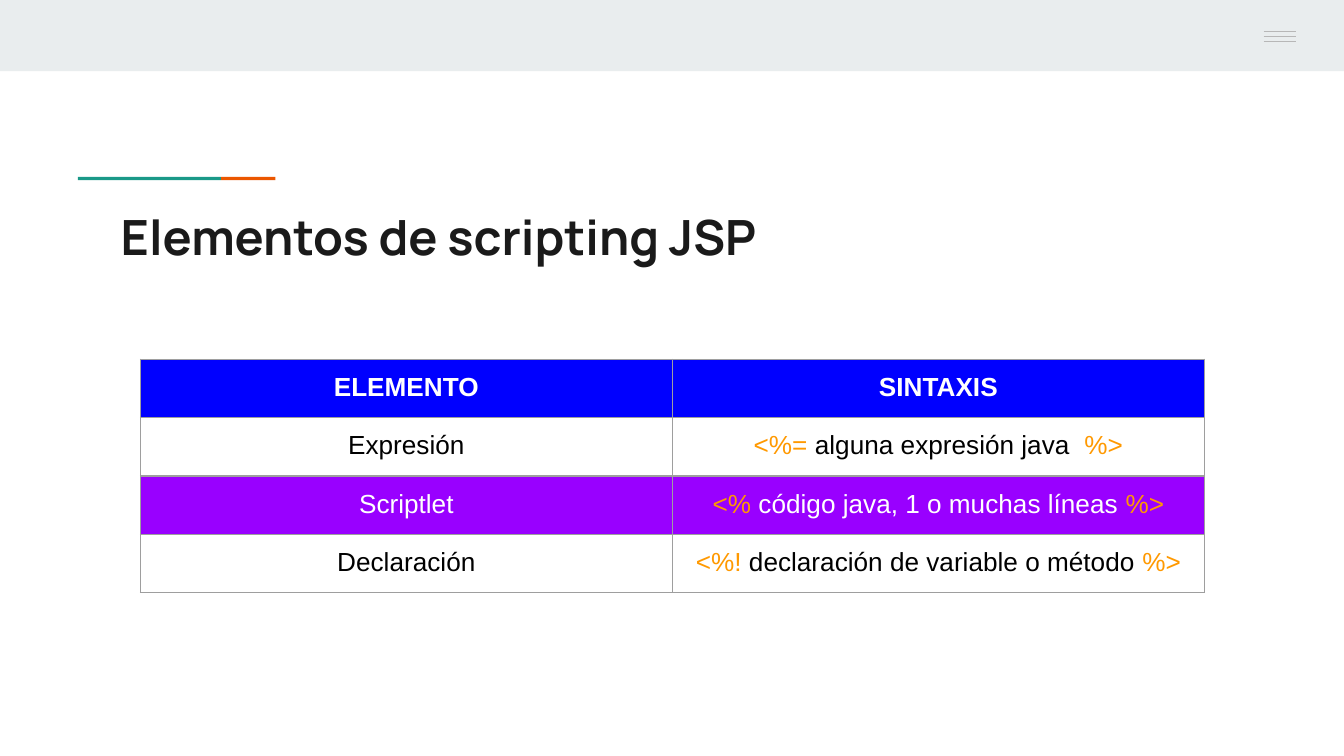
from lxml.etree import SubElement
from pptx import Presentation
from pptx.dml.color import RGBColor
from pptx.enum.shapes import MSO_CONNECTOR, MSO_SHAPE
from pptx.enum.text import MSO_ANCHOR, PP_ALIGN
from pptx.oxml import parse_xml
from pptx.oxml.ns import nsdecls, qn
from pptx.util import Pt

WHITE = RGBColor(0xFF, 0xFF, 0xFF)
BLACK = RGBColor(0, 0, 0)
INK = RGBColor(0x1A, 0x1A, 0x1A)
PALE = RGBColor(0xE9, 0xED, 0xEE)
GRAY = RGBColor(0xB7, 0xB7, 0xB7)
BORDER = RGBColor(0x9E, 0x9E, 0x9E)
TEAL = RGBColor(0x1A, 0x99, 0x88)
RUST = RGBColor(0xEB, 0x56, 0x00)
BLUE = RGBColor(0, 0, 0xFF)
PURPLE = RGBColor(0x99, 0, 0xFF)
ORANGE = RGBColor(0xFF, 0x99, 0)

# Content
TITLE = "Elementos de scripting JSP"
# Each row: fill, text colour, bold, cells; each cell is a list of runs
ROWS = [
    (BLUE, WHITE, True, [["ELEMENTO"], ["SINTAXIS"]]),
    (None, BLACK, False, [["Expresión"], ["<%=", " alguna expresión java  ", "%>"]]),
    (PURPLE, WHITE, False, [["Scriptlet"], ["<% ", "código java, 1 o muchas líneas ", "%>"]]),
    (None, BLACK, False, [["Declaración"], ["<%!", " declaración de variable o método ", "%>"]]),
]
DELIMITERS = ("<%", "%>")

# Plain rectangles: left, top, width, height, colour
BARS = [
    (0, 0, 720, 38.2, PALE),
    (41.8, 94.8, 76.6, 1.7, TEAL),
    (118.4, 94.8, 29.1, 1.7, RUST),
]
MENU_LEFT, MENU_RIGHT, MENU_TOP, MENU_STEP = 677, 694.2, 17, 2.65
TABLE_LEFT, TABLE_TOP, COLUMN_WIDTH, ROW_HEIGHT = 75.2, 192.5, 285, 30.2
INSET = 7.2


def add_run(paragraph, text, **font_format):
    run = paragraph.add_run()
    run.text = text
    color = font_format.pop("color")
    for name, value in font_format.items():
        setattr(run.font, name, value)
    run.font.color.rgb = color


def set_borders(cell):
    properties = cell._tc.get_or_add_tcPr()
    for index, side in enumerate(("lnL", "lnR", "lnT", "lnB")):
        properties.insert(index, parse_xml(
            f'<a:{side} {nsdecls("a")} w="{Pt(0.75)}"><a:solidFill>'
            f'<a:srgbClr val="{BORDER}"/></a:solidFill></a:{side}>'))


presentation = Presentation()
presentation.slide_width, presentation.slide_height = Pt(720), Pt(405)
slide = presentation.slides.add_slide(presentation.slide_layouts[6])

# Top band and two-colour accent
for left, top, width, height, color in BARS:
    shape = slide.shapes.add_shape(
        MSO_SHAPE.RECTANGLE, Pt(left), Pt(top), Pt(width), Pt(height))
    shape.shadow.inherit = False
    shape.fill.solid()
    shape.fill.fore_color.rgb = color
    shape.line.fill.background()

# Menu icon
for index in range(3):
    y = Pt(MENU_TOP + index * MENU_STEP)
    line = slide.shapes.add_connector(
        MSO_CONNECTOR.STRAIGHT, Pt(MENU_LEFT), y, Pt(MENU_RIGHT), y)
    line.line.color.rgb = GRAY
    line.line.width = Pt(0.75)
    SubElement(line._element.spPr, qn("a:effectLst"))

# Title
title = slide.shapes.add_textbox(Pt(57.6), Pt(103.7), Pt(605.5), Pt(42.5))
frame = title.text_frame
frame_format = {"word_wrap": True, "vertical_anchor": MSO_ANCHOR.TOP,
                "margin_left": Pt(INSET), "margin_right": Pt(INSET),
                "margin_top": Pt(INSET), "margin_bottom": Pt(INSET)}
for name, value in frame_format.items():
    setattr(frame, name, value)
add_run(frame.paragraphs[0], TITLE, name="Manrope", size=Pt(26), bold=True, color=INK)

# Table
table = slide.shapes.add_table(
    len(ROWS), 2, Pt(TABLE_LEFT), Pt(TABLE_TOP),
    Pt(2 * COLUMN_WIDTH), Pt(len(ROWS) * ROW_HEIGHT)).table
for column in table.columns:
    column.width = Pt(COLUMN_WIDTH)
for row_index, (fill, text_color, bold, cells) in enumerate(ROWS):
    table.rows[row_index].height = Pt(ROW_HEIGHT)
    for column_index, runs in enumerate(cells):
        cell = table.cell(row_index, column_index)
        for side in ("left", "right", "top", "bottom"):
            setattr(cell, f"margin_{side}", Pt(INSET))
        if fill is None:
            cell.fill.background()
        else:
            cell.fill.solid()
            cell.fill.fore_color.rgb = fill
        set_borders(cell)
        paragraph = cell.text_frame.paragraphs[0]
        paragraph.alignment = PP_ALIGN.CENTER
        for text in runs:
            color = ORANGE if text.startswith(DELIMITERS) else text_color
            add_run(paragraph, text, name="Arial", size=Pt(14), bold=bold, color=color)

presentation.save("out.pptx")
